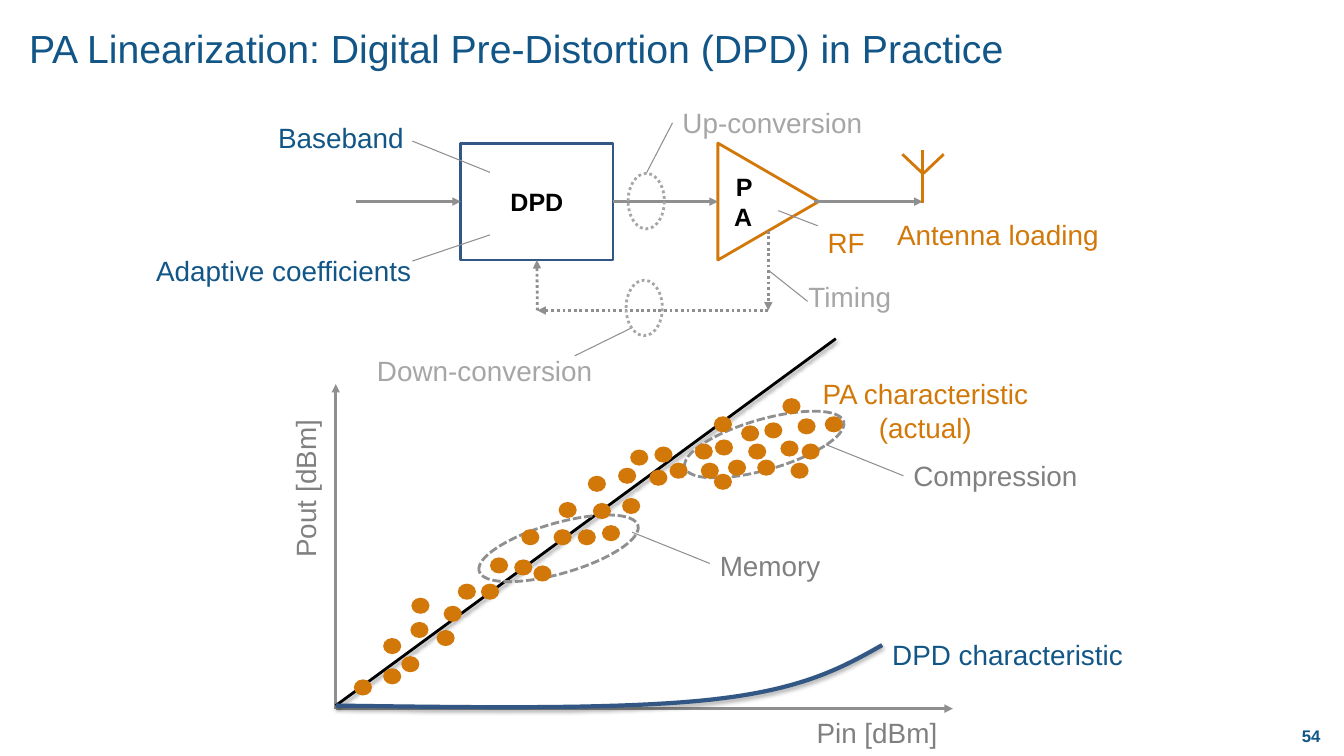
from dataclasses import dataclass
from typing import Optional

from lxml import etree
from pptx import Presentation
from pptx import util as u
from pptx.dml import color
from pptx.enum import dml, shapes, text
from pptx.oxml import ns

BLUE, NAVY, ORANGE = "125687", "325784", "D27809"
GRAY, PALE, DIM = "8F8F8F", "A6A6A6", "808080"
BLACK, WHITE = "000000", "FFFFFF"
DOT, DASH = dml.MSO_LINE.ROUND_DOT, dml.MSO_LINE.SQUARE_DOT
MID, LEFT = text.PP_ALIGN.CENTER, text.PP_ALIGN.LEFT
KIND = shapes.MSO_SHAPE


@dataclass
class Label:
    words: str
    left: float
    top: float
    width: float
    hue: str
    height: float = 0.44
    turn: float = 0


@dataclass
class Wire:
    x1: float
    y1: float
    x2: float
    y2: float
    hue: str = GRAY
    weight: float = 2
    dash: Optional[dml.MSO_LINE] = None
    arrow: bool = False
    shade: int = 0


@dataclass
class Form:
    kind: shapes.MSO_SHAPE
    left: float
    top: float
    width: float
    height: float
    line: Optional[str] = None
    fill: Optional[str] = None
    dash: Optional[dml.MSO_LINE] = None
    turn: float = 0


LABELS = [
    Label("Pin [dBm]", 8, 7.05, 1.41, DIM),
    Label("Pout [dBm]", 2.24, 4.62, 1.58, DIM, turn=270),
    Label("PA characteristic\n(actual)", 8.06, 3.69, 2.29, ORANGE, 0.77),
    Label("Compression", 8.96, 4.5, 1.85, DIM),
    Label("Memory", 7.04, 5.39, 1.21, DIM),
    Label("RF", 8.11, 2.19, 0.58, ORANGE),
    Label("Baseband", 2.66, 1.15, 1.46, BLUE),
    Label("Up-conversion", 6.67, 1, 2.01, PALE),
    Label("Down-conversion", 3.64, 3.46, 2.36, PALE),
    Label("Adaptive coefficients", 1.45, 2.47, 2.76, BLUE),
    Label("Timing", 7.92, 2.73, 1.03, PALE),
    Label("Antenna loading", 8.8, 2.11, 2.22, ORANGE),
    Label("DPD characteristic", 8.75, 6.28, 2.52, BLUE),
]
LEADERS = [
    (8.19, 4.41, 8.96, 4.72), (6.27, 5.28, 7.04, 5.59), (4.09, 1.4, 4.86, 1.71),
    (7.72, 2.09, 8.11, 2.24), (6.41, 1.72, 6.67, 1.22), (5.7, 3.53, 6.27, 3.25),
    (4.09, 2.59, 4.86, 2.33), (7.62, 2.68, 8.01, 2.99),
]
WIRES = [
    Wire(8.07, 2, 9.15, 2, arrow=True),
    Wire(7.62, 2.29, 7.62, 3.08, dash=DOT, arrow=True),
    Wire(7.62, 3.08, 5.33, 3.08, dash=DOT, arrow=True),
    Wire(3.33, 7.03, 9.45, 7.03, arrow=True),
    Wire(3.33, 7.03, 3.33, 3.81, arrow=True),
    Wire(3.33, 7, 8.29, 3.36, BLACK, shade=38),
    *(Wire(*ends, weight=0.75) for ends in LEADERS),
]
ANTENNA = [(9.15, 1.49, 9.15, 2.01), (8.95, 1.53, 9.15, 1.72), (9.36, 1.53, 9.16, 1.72)]
ZONES = [
    Form(KIND.OVAL, 6.76, 4.16, 1.64, 0.5, GRAY, dash=DASH, turn=343.9),
    Form(KIND.OVAL, 4.72, 5.19, 1.64, 0.5, GRAY, dash=DASH, turn=343.9),
]
RINGS = [Form(KIND.OVAL, x, y, 0.36, 0.55, PALE, dash=DOT) for x, y in ((6.23, 1.72), (6.21, 2.78))]
SAMPLES = [
    (3.51, 6.74), (3.8, 6.63), (3.8, 6.33), (3.98, 6.51), (4.07, 6.17), (4.33, 6.25),
    (4.4, 6.01), (4.08, 5.93), (4.54, 5.79), (4.77, 5.79), (5.1, 5.55), (5.49, 5.25),
    (5.88, 4.99), (6.44, 4.66), (6.89, 4.4), (7.35, 4.22), (7.91, 4.15), (4.86, 5.53),
    (5.29, 5.61), (5.17, 5.25), (5.54, 4.98), (5.73, 5.25), (5.97, 5.21), (6.17, 4.94),
    (6.13, 4.64), (6.49, 4.43), (6.64, 4.59), (6.95, 4.59), (7.22, 4.56), (7.08, 4.13),
    (7.09, 4.36), (7.42, 4.4), (7.74, 4.37), (7.76, 3.95), (7.58, 4.19), (7.95, 4.4),
    (7.51, 4.56), (7.84, 4.59), (7.08, 4.7), (8.18, 4.13), (5.83, 4.72), (6.25, 4.46),
]
CURVE = [
    ((3.33, 7), (4.74, 7.02), (6.16, 7.04), (7.06, 6.94)),
    ((7.06, 6.94), (7.97, 6.84), (8.36, 6.62), (8.75, 6.4)),
]


def cm(inch: float) -> u.Length:
    return u.Cm(inch * 2.54)


def rgb(code: str) -> color.RGBColor:
    return color.RGBColor.from_string(code)


def stroke(line, hue: str, weight: float, dash=None) -> None:
    line.color.rgb = rgb(hue)
    line.width = u.Pt(weight)
    if dash:
        line.dash_style = dash


def cast(shape, shade: int) -> None:
    effect = etree.SubElement(shape.element.spPr, ns.qn("a:effectLst"))
    if shade:
        drop = etree.SubElement(effect, ns.qn("a:outerShdw"), blurRad=str(u.Pt(3.1)),
                                dist=str(u.Pt(1.6)), dir="5400000", rotWithShape="0")
        tint = etree.SubElement(drop, ns.qn("a:srgbClr"), val=BLACK)
        etree.SubElement(tint, ns.qn("a:alpha"), val=str(shade * 1000))


def write(frame, words: str, size: float, hue: str, bold: bool = False, align=LEFT) -> None:
    frame.text = words
    for par in frame.paragraphs:
        par.alignment = align
        par.font.name = "Arial"
        par.font.size = u.Pt(size)
        par.font.bold = bold
        par.font.color.rgb = rgb(hue)


def add_wire(slide, wire: Wire):
    ends = [cm(v) for v in (wire.x1, wire.y1, wire.x2, wire.y2)]
    link = slide.shapes.add_connector(shapes.MSO_CONNECTOR.STRAIGHT, *ends)
    stroke(link.line, wire.hue, wire.weight, wire.dash)
    if wire.arrow:
        etree.SubElement(link.get_or_add_ln(), ns.qn("a:tailEnd"), type="triangle")
    cast(link, wire.shade)
    return link


def add_form(slide, form: Form):
    place = [cm(v) for v in (form.left, form.top, form.width, form.height)]
    shape = slide.shapes.add_shape(form.kind, *place)
    shape.shadow.inherit = False
    shape.rotation = form.turn
    if form.fill:
        shape.fill.solid()
        shape.fill.fore_color.rgb = rgb(form.fill)
    else:
        shape.fill.background()
    if form.line:
        stroke(shape.line, form.line, 2, form.dash)
    else:
        shape.line.fill.background()
    return shape


def add_label(slide, label: Label, size: float = 19.9, bold: bool = False, align=LEFT):
    place = [cm(v) for v in (label.left, label.top, label.width, label.height)]
    box = slide.shapes.add_textbox(*place)
    box.rotation = label.turn
    write(box.text_frame, label.words, size, label.hue, bold, align)
    return box


def add_curve(slide, steps: int = 20) -> None:
    spots = []
    for a, b, c, d in CURVE:
        for step in range(1, steps + 1):
            k = step / steps
            j = 1 - k
            spots.append(tuple(
                cm(j**3 * p + 3 * j * j * k * q + 3 * j * k * k * r + k**3 * s)
                for p, q, r, s in zip(a, b, c, d)))
    start = CURVE[0][0]
    pen = slide.shapes.build_freeform(cm(start[0]), cm(start[1]))
    pen.add_line_segments(spots, close=False)
    shape = pen.convert_to_shape()
    shape.fill.background()
    stroke(shape.line, NAVY, 3)
    cast(shape, 35)


def main() -> None:
    deck = Presentation()
    deck.slide_width, deck.slide_height = cm(13.33), cm(7.5)
    slide = deck.slides.add_slide(deck.slide_layouts[6])

    title = Label("PA Linearization: Digital Pre-Distortion (DPD) in Practice",
                  0.19, 0.19, 13.14, BLUE, 1.08)
    add_label(slide, title, 28).text_frame.word_wrap = True
    page = add_label(slide, Label("54", 12.67, 7.09, 0.67, BLUE, 0.42), 12, True, MID)
    page.text_frame.vertical_anchor = text.MSO_ANCHOR.MIDDLE

    amp = add_form(slide, Form(KIND.ISOSCELES_TRIANGLE, 7.04, 1.5, 1.16, 1, ORANGE, WHITE, turn=90))
    amp.element.txBody.bodyPr.set("vert", "vert270")
    block = add_form(slide, Form(KIND.RECTANGLE, 4.57, 1.42, 1.51, 1.16, NAVY, WHITE))
    for shape, words in ((amp, "PA"), (block, "DPD")):
        write(shape.text_frame, words, 17.9, BLACK, True, MID)

    add_wire(slide, Wire(3.53, 2, 4.57, 2, arrow=True)).end_connect(block, 1)
    add_wire(slide, Wire(6.08, 2, 7.12, 2, arrow=True)).begin_connect(block, 3)
    add_wire(slide, Wire(5.33, 3.08, 5.33, 2.58, dash=DOT, arrow=True)).end_connect(block, 2)
    for wire in WIRES:
        add_wire(slide, wire)
    for label in LABELS:
        frame = add_label(slide, label).text_frame
        frame.word_wrap = False
        frame.auto_size = text.MSO_AUTO_SIZE.SHAPE_TO_FIT_TEXT
        for par in frame.paragraphs[1:]:
            par.alignment = MID
    add_curve(slide)
    dots = [Form(KIND.FLOWCHART_CONNECTOR, x, y, 0.18, 0.16, fill=ORANGE) for x, y in SAMPLES]
    for form in ZONES + dots + RINGS:
        add_form(slide, form)
    for ends in ANTENNA:
        add_wire(slide, Wire(*ends, hue=ORANGE))
    deck.save("out.pptx")


if __name__ == "__main__":
    main()
